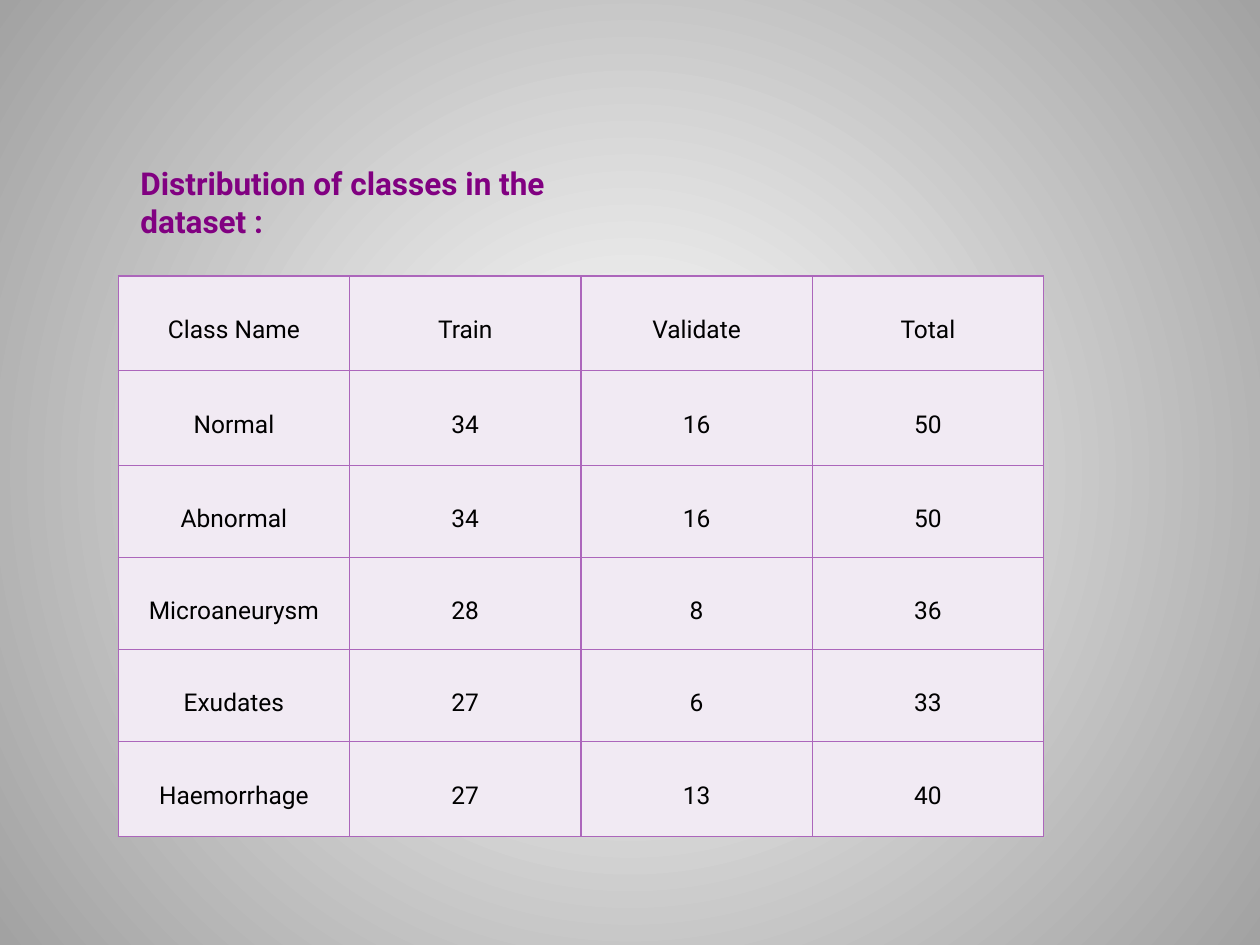
from pptx import Presentation
from pptx.dml.color import RGBColor
from pptx.enum.text import MSO_ANCHOR, PP_ALIGN
from pptx.oxml import parse_xml
from pptx.oxml.ns import nsdecls
from pptx.util import Pt

CENTER = PP_ALIGN.CENTER
MIDDLE = MSO_ANCHOR.MIDDLE

TITLE = "Distribution of classes in the dataset :"
CLASS_COUNTS = [
    ("Class Name", "Train", "Validate", "Total"),
    ("Normal", "34", "16", "50"),
    ("Abnormal", "34", "16", "50"),
    ("Microaneurysm", "28", "8", "36"),
    ("Exudates", "27", "6", "33"),
    ("Haemorrhage", "27", "13", "40"),
]
FONT = "Roboto"
COLORS = {
    "title": "810081",
    "text": "000000",
    "cell": "F1EAF3",
    "border": "AC66BB",
    "glow": "FFFFFF",
    "edge": "A2A2A2",
}
TABLE_LEFT, TABLE_TOP = 67.6, 157.6
COLUMN_WIDTH = 132.2
ROW_HEIGHTS = [54.2, 54.2, 52.6, 52.6, 52.6, 54.2]
BORDER_WIDTH = 1


def set_font(paragraph, size, color, bold=False):
    font = paragraph.font
    font.name, font.size, font.bold = FONT, Pt(size), bold
    font.color.rgb = RGBColor.from_string(COLORS[color])


def add_radial_background(slide):
    slide.element.cSld.insert(0, parse_xml(
        f'<p:bg {nsdecls("p", "a")}><p:bgPr><a:gradFill rotWithShape="1"><a:gsLst>'
        f'<a:gs pos="0"><a:srgbClr val="{COLORS["glow"]}"/></a:gs>'
        f'<a:gs pos="100000"><a:srgbClr val="{COLORS["edge"]}"/></a:gs></a:gsLst>'
        '<a:path path="circle">'
        '<a:fillToRect l="50000" t="50000" r="50000" b="50000"/></a:path>'
        '</a:gradFill><a:effectLst/></p:bgPr></p:bg>'))


def add_borders(cell):
    properties = cell._tc.get_or_add_tcPr()
    for position, side in enumerate(("lnL", "lnR", "lnT", "lnB")):
        properties.insert(position, parse_xml(
            f'<a:{side} {nsdecls("a")} w="{Pt(BORDER_WIDTH)}"><a:solidFill>'
            f'<a:srgbClr val="{COLORS["border"]}"/></a:solidFill></a:{side}>'))


def fill_cell(cell, text):
    cell.fill.solid()
    cell.fill.fore_color.rgb = RGBColor.from_string(COLORS["cell"])
    cell.margin_left = cell.margin_right = Pt(5)
    cell.margin_top = cell.margin_bottom = 0
    cell.vertical_anchor = MIDDLE
    cell.text = text
    paragraph = cell.text_frame.paragraphs[0]
    paragraph.alignment = CENTER
    paragraph.line_spacing = 1.5
    paragraph.space_after = Pt(8)
    set_font(paragraph, 14, "text")
    add_borders(cell)


def add_class_table(slide):
    columns = len(CLASS_COUNTS[0])
    table = slide.shapes.add_table(
        len(CLASS_COUNTS), columns, Pt(TABLE_LEFT), Pt(TABLE_TOP),
        Pt(columns * COLUMN_WIDTH), Pt(sum(ROW_HEIGHTS))).table
    table.first_row = table.horz_banding = False
    for column in table.columns:
        column.width = Pt(COLUMN_WIDTH)
    for row, height, counts in zip(table.rows, ROW_HEIGHTS, CLASS_COUNTS):
        row.height = Pt(height)
        for cell, text in zip(row.cells, counts):
            fill_cell(cell, text)


def add_title(slide):
    frame = slide.shapes.add_textbox(Pt(73.2), Pt(90), Pt(316), Pt(29)).text_frame
    frame.word_wrap = True
    frame.text = TITLE
    set_font(frame.paragraphs[0], 18, "title", bold=True)


def main():
    deck = Presentation()
    deck.slide_width, deck.slide_height = Pt(720), Pt(540)
    slide = deck.slides.add_slide(deck.slide_layouts[6])
    add_radial_background(slide)
    add_class_table(slide)
    add_title(slide)
    deck.save("out.pptx")


if __name__ == "__main__":
    main()
